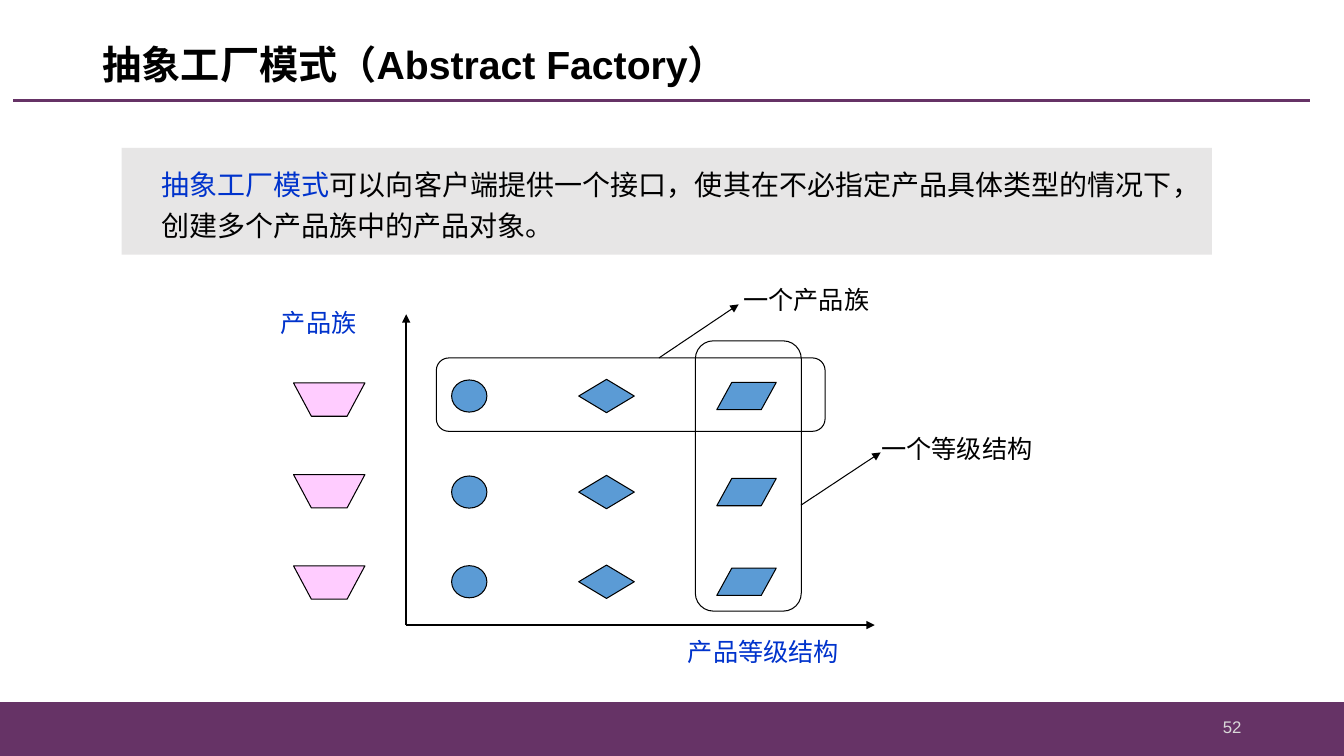
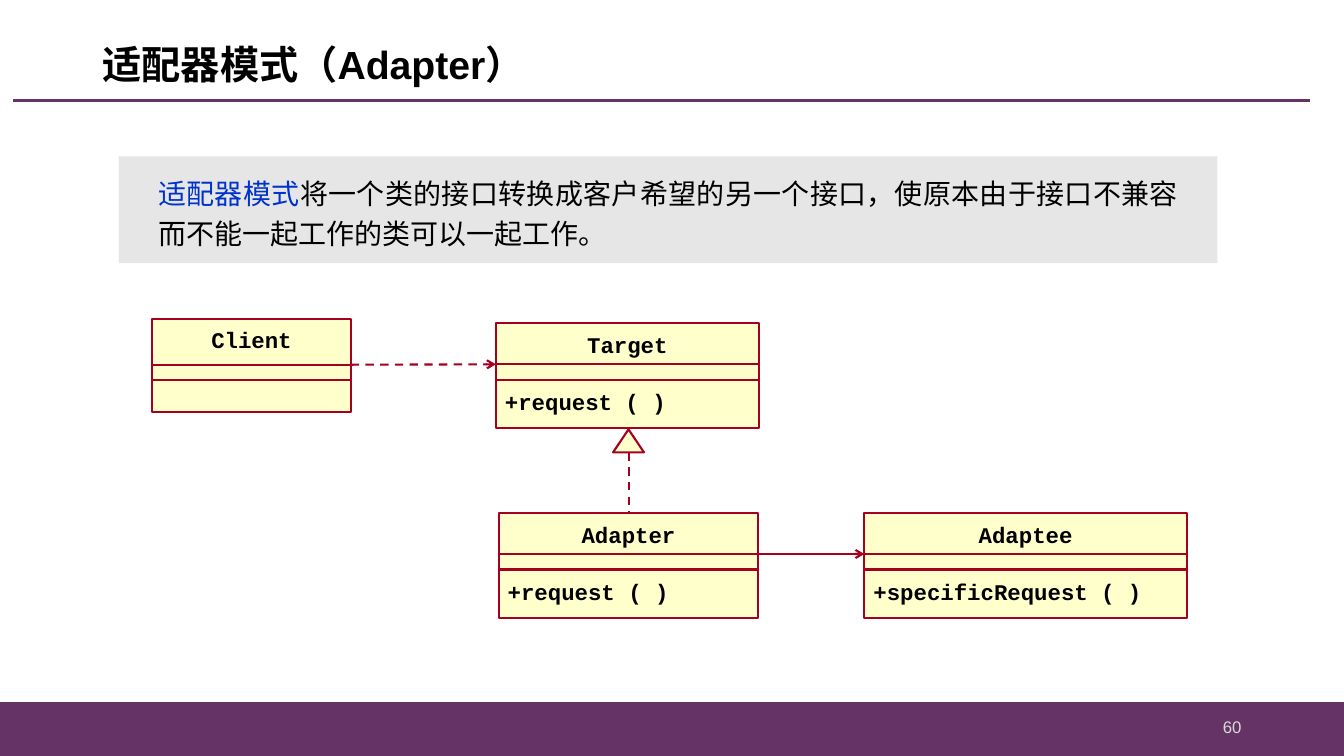
from dataclasses import dataclass

from lxml import etree
from pptx import Presentation
from pptx.dml.color import RGBColor
from pptx.enum.dml import MSO_LINE
from pptx.enum.shapes import MSO_CONNECTOR, MSO_SHAPE
from pptx.enum.text import MSO_ANCHOR, MSO_AUTO_SIZE, PP_ALIGN
from pptx.oxml.ns import qn
from pptx.util import Cm, Pt

STRAIGHT = MSO_CONNECTOR.STRAIGHT
DASH = MSO_LINE.DASH
RECTANGLE = MSO_SHAPE.RECTANGLE
ROUNDED = MSO_SHAPE.ROUNDED_RECTANGLE
ELLIPSE = MSO_SHAPE.OVAL
DIAMOND = MSO_SHAPE.DIAMOND
PARALLELOGRAM = MSO_SHAPE.PARALLELOGRAM
TRIANGLE = MSO_SHAPE.ISOSCELES_TRIANGLE
TOP, MIDDLE = MSO_ANCHOR.TOP, MSO_ANCHOR.MIDDLE
NO_FIT = MSO_AUTO_SIZE.NONE
LEFT, RIGHT = PP_ALIGN.LEFT, PP_ALIGN.RIGHT
CENTER, JUSTIFY = PP_ALIGN.CENTER, PP_ALIGN.JUSTIFY
TITLE_ONLY = 5


@dataclass(frozen=True)
class Theme:
    """Colours, fonts and type sizes of the deck."""
    purple: str = "663366"
    black: str = "000000"
    blue: str = "0033CC"
    grey: str = "E7E6E6"
    pale: str = "D9D9D9"
    pink: str = "FFCCFF"
    product: str = "5B9BD5"
    cream: str = "FFFFCC"
    red: str = "A50021"
    latin: str = "Arial"
    chinese: str = "Noto Sans CJK SC"
    code: str = "Courier New"
    title_size: int = 28
    callout_size: int = 20
    label_size: int = 18
    code_size: int = 16
    number_size: int = 12


THEME = Theme()
CODE = {"size": THEME.code_size, "face": THEME.code, "bold": True}


@dataclass(frozen=True)
class ClassBox:
    """Place and wording of one class in a class diagram, in centimetres."""
    name: str
    operation: str
    left: float
    top: float
    width: float
    height: float = 2.64
    header: float = 1.03

    @property
    def right(self):
        """Return the right edge."""
        return self.left + self.width

    @property
    def divider(self):
        """Return the height of the line below the name."""
        return self.top + self.header


def set_values(target, values):
    """Set each named attribute of the target."""
    for name, value in values.items():
        setattr(target, name, value)


def write_text(shape, spans, size, face, bold=False, align=LEFT,
               spacing=1.0, anchor=TOP, insets=(0.25, 0.13, 0.25, 0.13)):
    """Fill a shape with one paragraph of coloured spans."""
    frame = shape.text_frame
    left, top, right, bottom = map(Cm, insets)
    set_values(frame, {"auto_size": NO_FIT, "word_wrap": True,
                       "vertical_anchor": anchor,
                       "margin_left": left, "margin_top": top,
                       "margin_right": right, "margin_bottom": bottom})
    para = frame.paragraphs[0]
    set_values(para, {"alignment": align, "line_spacing": spacing})
    for text, color in spans:
        span = para.add_run()
        span.text = text
        set_values(span.font, {"size": Pt(size), "bold": bold, "name": face})
        span.font.color.rgb = RGBColor.from_string(color)
        east_asian = etree.SubElement(span.font._element, qn("a:ea"))
        east_asian.set("typeface", THEME.chinese)


def style_shape(shape, fill=None, line=None, weight=0.75):
    """Give a shape its fill and outline and drop its shadow."""
    shape.shadow.inherit = False
    for paint, color in ((shape.fill, fill), (shape.line.fill, line)):
        if color:
            paint.solid()
            paint.fore_color.rgb = RGBColor.from_string(color)
        else:
            paint.background()
    if line:
        shape.line.width = Pt(weight)


def add_preset(page, kind, place, adjustment=None, **style):
    """Add a preset shape at left, top, width and height."""
    shape = page.shapes.add_shape(kind, *map(Cm, place))
    if adjustment is not None:
        shape.adjustments[0] = adjustment
    style_shape(shape, **style)
    return shape


def add_line(page, start, end, color=THEME.black, weight=0.75,
             head=None, dash=None):
    """Add a straight line, dashed or with an arrowhead if asked."""
    line = page.shapes.add_connector(STRAIGHT, *map(Cm, (*start, *end)))
    line.line.color.rgb = RGBColor.from_string(color)
    set_values(line.line, {"width": Pt(weight), "dash_style": dash})
    properties = line.element.spPr
    if head:
        outline = properties.find(qn("a:ln"))
        etree.SubElement(outline, qn("a:tailEnd")).set("type", head)
    etree.SubElement(properties, qn("a:effectLst"))
    return line


def add_label(page, text, place, color):
    """Add a diagram label."""
    box = page.shapes.add_textbox(*map(Cm, place))
    write_text(box, [(text, color)], THEME.label_size, THEME.chinese)


def add_callout(page, term, rest, place):
    """Add the grey definition box with its term in blue."""
    box = add_preset(page, RECTANGLE, place, fill=THEME.grey)
    write_text(box, [(term, THEME.blue), (rest, THEME.black)],
               THEME.callout_size, THEME.chinese, align=JUSTIFY, spacing=1.2,
               insets=(0.99, 0.33, 0.99, 0.33))


def add_trapezoid(page, left, top, width, height, inset):
    """Add a trapezoid with its long side on top."""
    builder = page.shapes.build_freeform(Cm(left), Cm(top))
    bottom, right = top + height, left + width
    corners = [(left + inset, bottom), (right - inset, bottom), (right, top)]
    builder.add_line_segments([(Cm(x), Cm(y)) for x, y in corners])
    style_shape(builder.convert_to_shape(), THEME.pink, THEME.black)


def add_class(page, box):
    """Add a class box with its dividers and operation."""
    place = (box.left, box.top, box.width, box.height)
    frame = add_preset(page, RECTANGLE, place,
                       fill=THEME.cream, line=THEME.red, weight=1.5)
    write_text(frame, [(box.name, THEME.black)],
               align=CENTER, spacing=1.1, **CODE)
    for level in (box.divider, box.divider + 0.39):
        add_line(page, (box.left, level), (box.right, level), THEME.red, 1.5)
    if box.operation:
        area = (box.left + 0.23, box.divider + 0.58, box.width - 0.46, 0.86)
        text = page.shapes.add_textbox(*map(Cm, area))
        write_text(text, [(box.operation, THEME.black)], align=JUSTIFY,
                   insets=(0, 0.03, 0, 0.13), **CODE)


def add_page(deck, title, number):
    """Add a slide with its title and number."""
    page = deck.slides.add_slide(deck.slide_layouts[TITLE_ONLY])
    heading = page.shapes.title
    set_values(heading, {"left": Cm(2.34), "top": Cm(0.76),
                         "width": Cm(29.21), "height": Cm(1.85)})
    write_text(heading, [(title, THEME.black)], THEME.title_size, THEME.latin,
               bold=True, spacing=0.9, anchor=MIDDLE)
    box = page.shapes.add_textbox(Cm(23.93), Cm(17.81), Cm(7.62), Cm(1.02))
    write_text(box, [(number, THEME.pale)], THEME.number_size, THEME.latin,
               align=RIGHT, anchor=MIDDLE)
    return page


def move_frame_to_master(deck, page):
    """Draw the shared band and rule and hand them to the slide master."""
    band = add_preset(page, RECTANGLE, (0, 17.7, 33.88, 1.4),
                      fill=THEME.purple, line=THEME.purple, weight=1)
    rule = add_line(page, (0.33, 2.54), (33.02, 2.54), THEME.purple, 2.25)
    for number, shape in enumerate((band, rule), start=101):
        shape.element.xpath(".//p:cNvPr")[0].set("id", str(number))
        deck.slide_master.shapes.element.append(shape.element)


def draw_factory(page):
    """Draw the product families and grades on two axes."""
    origin = (10.24, 15.75)
    for end in ((22.05, 15.75), (10.24, 7.92)):
        add_line(page, origin, end, weight=1.5, head="triangle")
    products = ((ELLIPSE, 11.83, 0.89, 0.81, None),
                (DIAMOND, 15.29, 1.4, 0.84, None),
                (PARALLELOGRAM, 18.82, 1.5, 0.69, 0.55))
    for family_top, middle in ((9.65, 9.98), (11.96, 12.4), (14.26, 14.66)):
        add_trapezoid(page, 7.4, family_top, 1.8, 0.84, 0.45)
        for kind, center, width, height, adjustment in products:
            place = (center - width / 2, middle - height / 2, width, height)
            add_preset(page, kind, place, adjustment,
                       fill=THEME.product, line=THEME.black)
    for place in ((11, 9.02, 9.8, 1.85), (17.53, 8.59, 2.67, 6.81)):
        add_preset(page, ROUNDED, place, 0.17, line=THEME.black)
    for start, end in (((16.61, 9.02), (18.62, 7.67)),
                       ((20.19, 12.73), (22.2, 11.4))):
        add_line(page, start, end, head="triangle")
    for text, left, top, width, color in (
            ("产品等级结构", 17.09, 15.9, 5.28, THEME.blue),
            ("产品族", 6.83, 7.62, 2.92, THEME.blue),
            ("一个产品族", 18.49, 7.04, 4.5, THEME.black),
            ("一个等级结构", 21.97, 10.8, 5.28, THEME.black)):
        add_label(page, text, (left, top, width, 1.09), color)


def draw_adapter(page):
    """Draw the class diagram of the adapter."""
    client = ClassBox("Client", "", 3.84, 8.03, 5, 2.36, 1.16)
    target = ClassBox("Target", "+request ( )", 12.5, 8.15, 6.63)
    adapter = ClassBox("Adapter", "+request ( )", 12.57, 12.93, 6.55)
    adaptee = ClassBox("Adaptee", "+specificRequest ( )", 21.79, 12.93, 8.13)
    for box in (client, target, adapter, adaptee):
        add_class(page, box)
    for source, goal, dash in ((client, target, DASH),
                               (adapter, adaptee, None)):
        add_line(page, (source.right, source.divider),
                 (goal.left, goal.divider), THEME.red, 1.5, "arrow", dash)
    center = adapter.left + adapter.width / 2
    add_preset(page, TRIANGLE, (center - 0.39, 10.82, 0.78, 0.58),
               fill=THEME.cream, line=THEME.red, weight=1.5)
    add_line(page, (center, 11.4), (center, adapter.top),
             THEME.red, 1.5, dash=DASH)


def main():
    """Build and save the deck."""
    deck = Presentation()
    set_values(deck, {"slide_width": Cm(33.88), "slide_height": Cm(19.05)})
    page = add_page(deck, "抽象工厂模式（Abstract Factory）", "52")
    move_frame_to_master(deck, page)
    draw_factory(page)
    add_callout(page, "抽象工厂模式",
                "可以向客户端提供一个接口，使其在不必指定产品具体类型的情况下，"
                "创建多个产品族中的产品对象。", (3.07, 3.73, 27.48, 2.69))
    page = add_page(deck, "适配器模式（Adapter）", "60")
    draw_adapter(page)
    add_callout(page, "适配器模式",
                "将一个类的接口转换成客户希望的另一个接口，"
                "使原本由于接口不兼容而不能一起工作的类可以一起工作。",
                (3, 3.94, 27.69, 2.69))
    deck.save("out.pptx")


if __name__ == "__main__":
    main()
